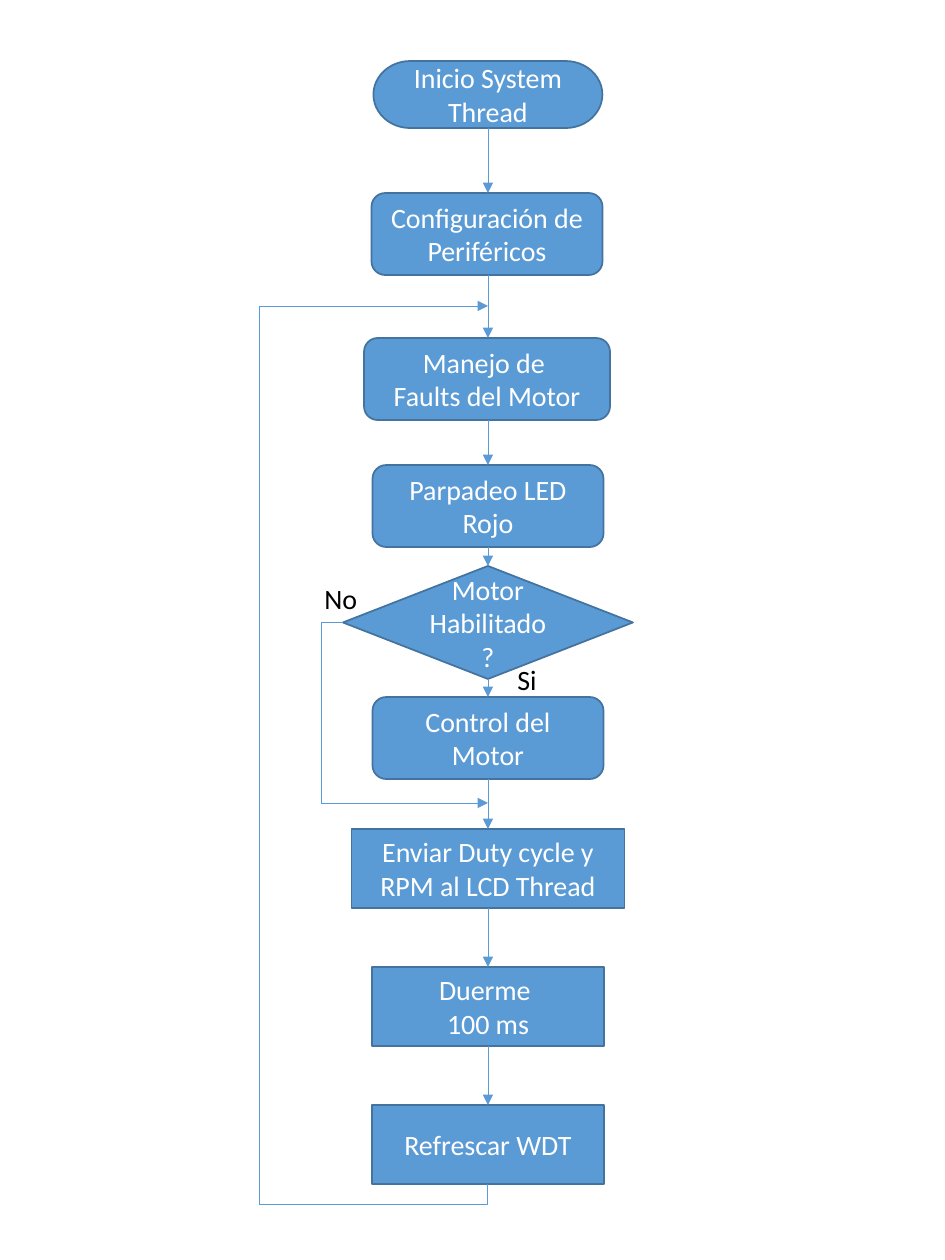
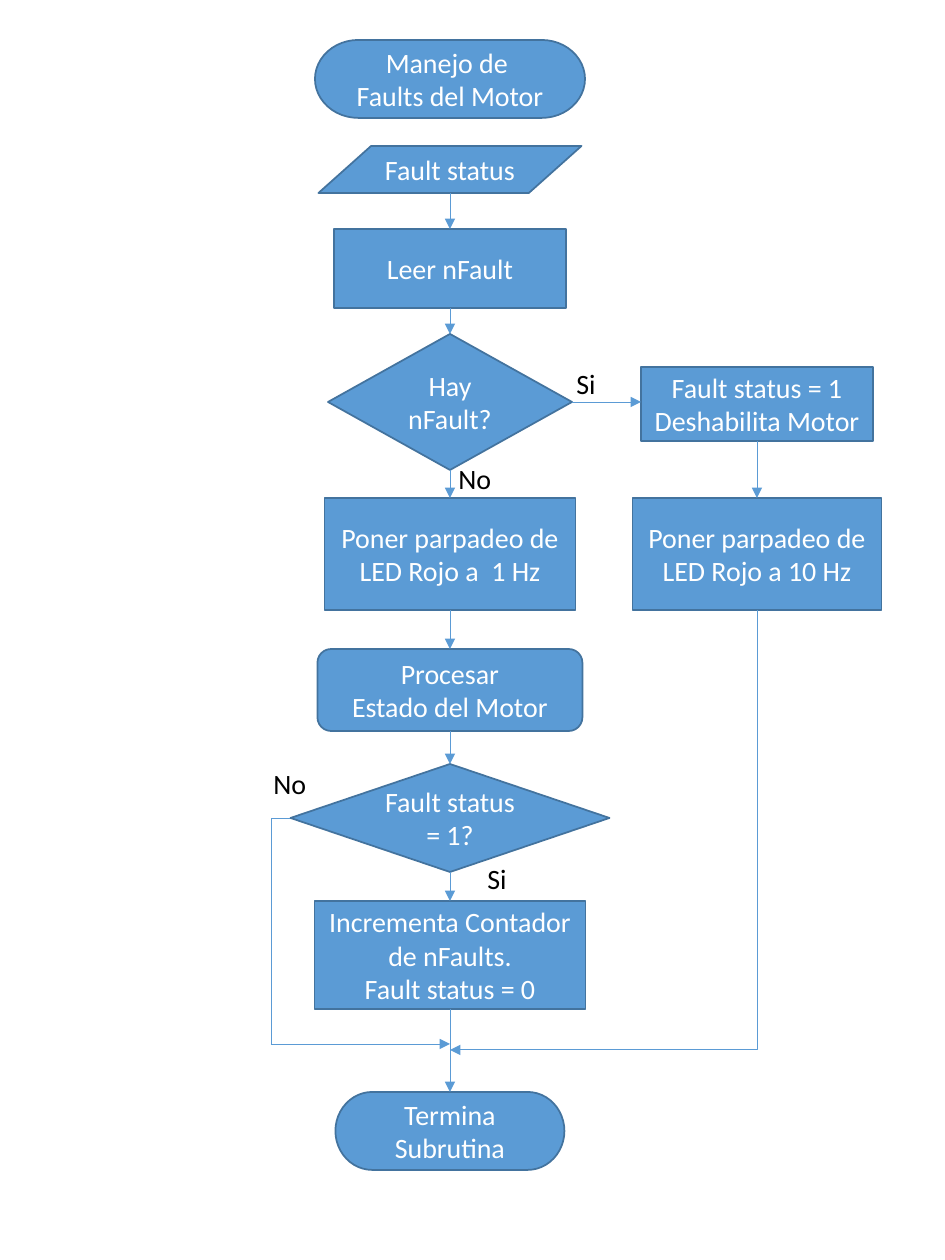
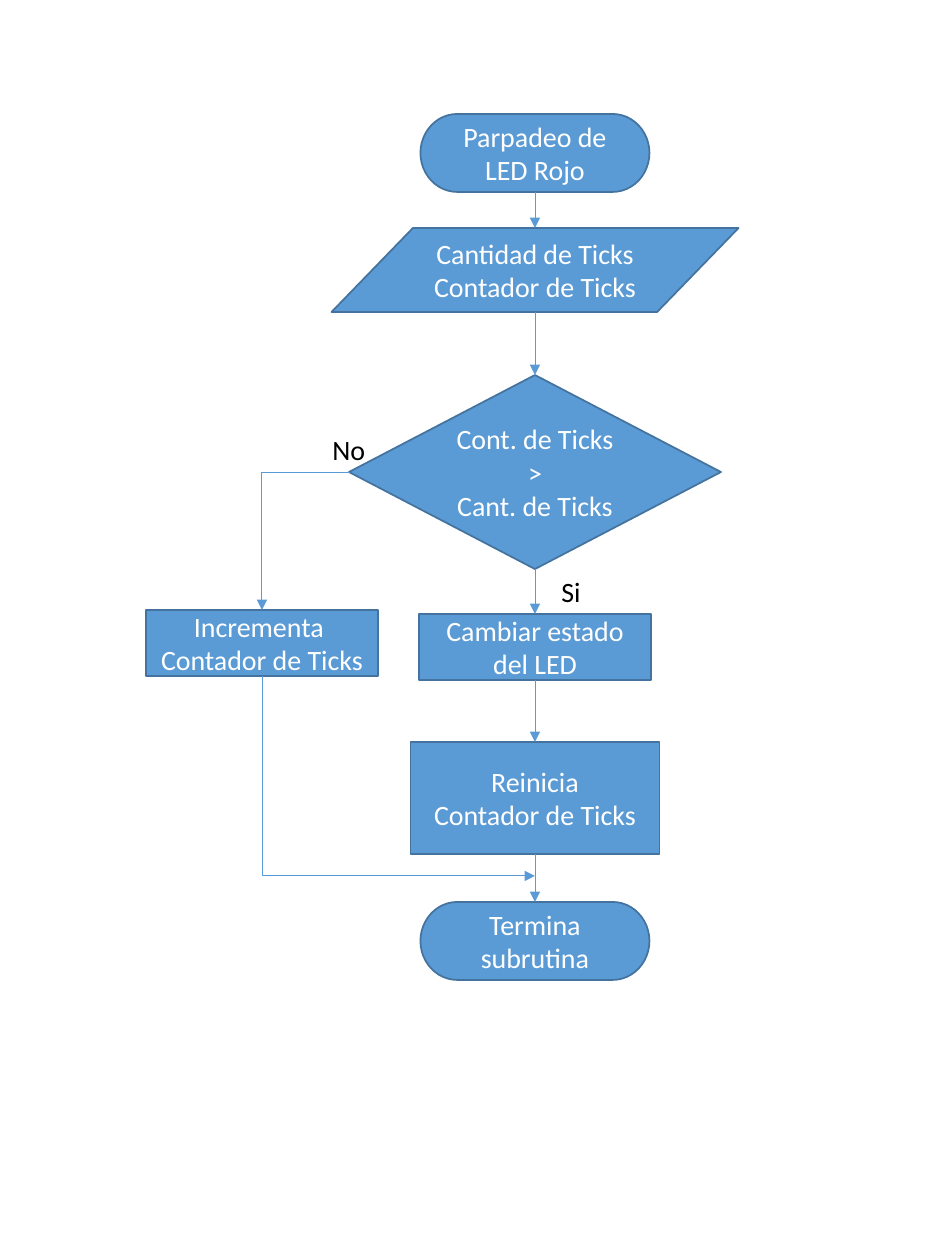
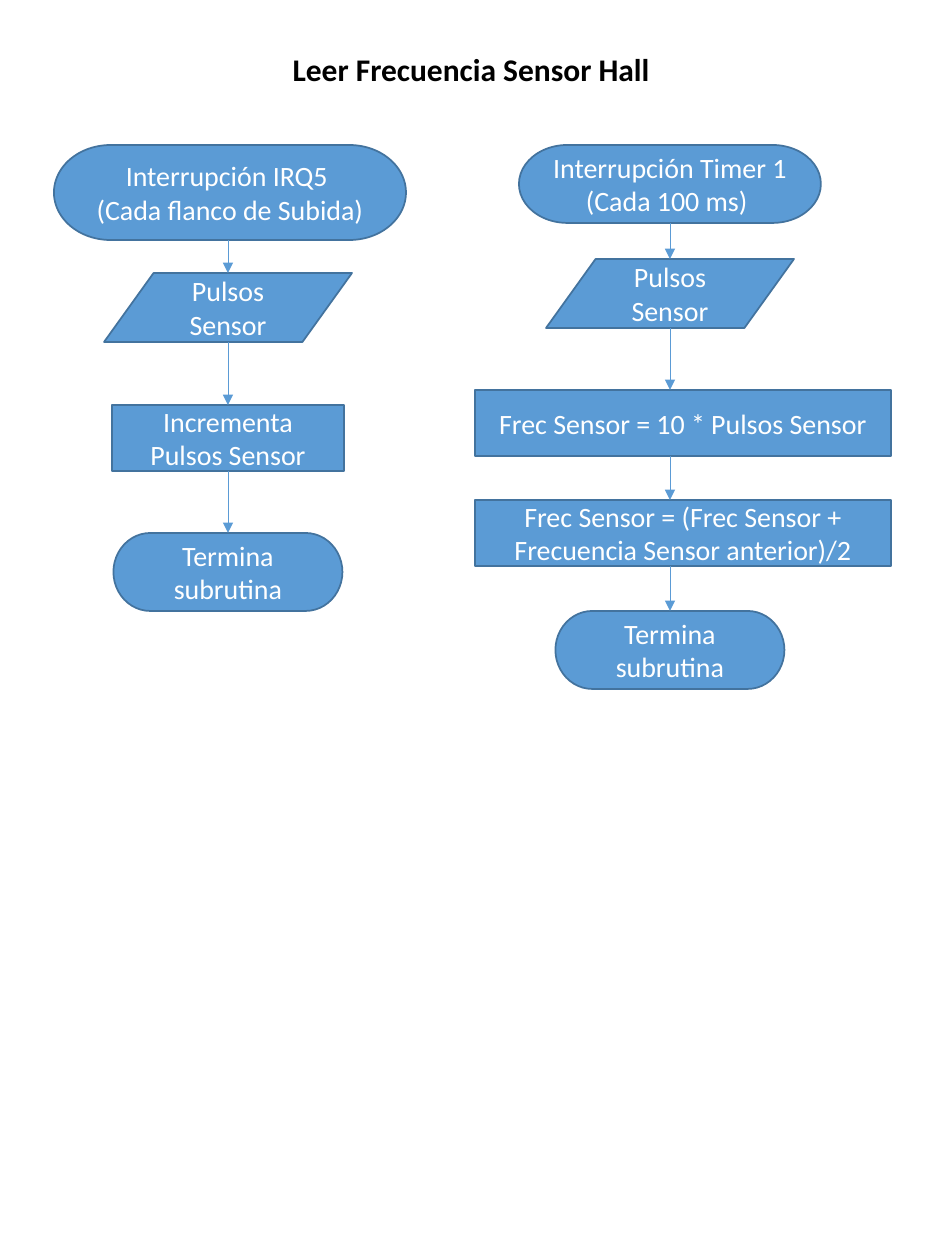
from itertools import pairwise

from lxml import etree
from pptx import Presentation
from pptx import util as u
from pptx.dml.color import RGBColor
from pptx.enum import shapes, text
from pptx.oxml.ns import qn

PX = 914400 / 126
COLORS = {"fill": "5B9BD5", "edge": "43739E", "light": "FFFFFF", "dark": "000000"}
SHAPE = shapes.MSO_SHAPE
KINDS = {
    "pill": SHAPE.FLOWCHART_TERMINATOR,
    "step": SHAPE.FLOWCHART_PROCESS,
    "call": SHAPE.FLOWCHART_ALTERNATE_PROCESS,
    "test": SHAPE.FLOWCHART_DECISION,
    "data": SHAPE.FLOWCHART_DATA,
}
LABEL_WIDTHS = {"Si": 45, "No": 59}
BOX_FRAME = {"word_wrap": True, "vertical_anchor": text.MSO_ANCHOR.MIDDLE}
FREE_FRAME = {
    "word_wrap": False,
    "vertical_anchor": text.MSO_ANCHOR.TOP,
    "auto_size": text.MSO_AUTO_SIZE.SHAPE_TO_FIT_TEXT,
}


def px(*lengths):
    return [u.Emu(round(length * PX)) for length in lengths]


def rgb(name):
    return RGBColor.from_string(COLORS[name])


def assign(target, values):
    for name, value in values.items():
        setattr(target, name, value)


class FlowDeck:
    def __init__(self):
        self.deck = Presentation()
        assign(self.deck, {"slide_width": u.Inches(7.5), "slide_height": u.Inches(10)})
        self.page = None

    def add_page(self, title=None, place=None):
        layout = self.deck.slide_layouts[5 if title else 6]
        self.page = self.deck.slides.add_slide(layout)
        if title:
            box = self.page.shapes.title
            assign(box, dict(zip(("left", "top", "width", "height"), px(*place))))
            self.set_words(box, title, "dark", FREE_FRAME, size=18, bold=True)

    def set_words(self, box, words, color, frame, size=16, bold=False, align="LEFT"):
        box.text_frame.text = words
        assign(box.text_frame, frame)
        font = {"name": "Calibri", "size": u.Pt(size), "bold": bold}
        for para in box.text_frame.paragraphs:
            para.alignment = text.PP_ALIGN[align]
            for span in para.runs:
                assign(span.font, font)
                span.font.color.rgb = rgb(color)

    def label(self, words, left, top):
        box = self.page.shapes.add_textbox(*px(left, top, LABEL_WIDTHS[words], 47))
        self.set_words(box, words, "dark", FREE_FRAME)

    def node(self, center, kind, words, top, width, height, shift=0):
        left = center + shift - width / 2
        box = self.page.shapes.add_shape(KINDS[kind], *px(left, top, width, height))
        box.shadow.inherit = False
        box.fill.solid()
        box.fill.fore_color.rgb = rgb("fill")
        box.line.color.rgb = rgb("edge")
        box.line.width = u.Pt(1)
        self.set_words(box, words, "light", BOX_FRAME, align="CENTER")

    def column(self, center, *steps):
        for step in steps:
            self.node(center, *step)
        for above, below in pairwise(steps):
            self.line((center, above[2] + above[4]), (center, below[2]), "tailEnd")

    def line(self, start, stop, arrow=None, kind=shapes.MSO_CONNECTOR.STRAIGHT):
        line = self.page.shapes.add_connector(kind, *px(*start, *stop))
        line.line.color.rgb = rgb("fill")
        line.line.width = u.Pt(0.5)
        props = line._element.spPr
        etree.SubElement(props, qn("a:effectLst"))
        if arrow:
            etree.SubElement(props.find(qn("a:ln")), qn(f"a:{arrow}"), type="triangle")
        return line

    def elbow(self, start, stop, arrow=None):
        line = self.line(start, stop, arrow, shapes.MSO_CONNECTOR.ELBOW)
        line._element.spPr.find(qn("a:prstGeom")).set("prst", "bentConnector2")


def system_thread(flow):
    flow.add_page()
    flow.column(
        488,
        ("pill", "Inicio System Thread", 61, 229, 67),
        ("call", "Configuración de Periféricos", 193, 231, 82, -1),
        ("call", "Manejo de \nFaults del Motor", 338, 246, 82, -1),
        ("call", "Parpadeo LED Rojo", 465, 231, 82),
        ("test", "Motor Habilitado?", 566, 290, 113),
        ("call", "Control del Motor", 697, 231, 82),
        ("step", "Enviar Duty cycle y RPM al LCD Thread", 829, 273, 79),
        ("step", "Duerme \n100 ms", 967, 232, 79),
        ("step", "Refrescar WDT", 1105, 232, 79),
    )
    flow.label("Si", 505, 656)
    flow.label("No", 312, 575)
    flow.elbow((343, 622), (321, 803))
    flow.line((321, 803), (488, 803), "tailEnd")
    flow.elbow((259, 1205), (488, 1184))
    flow.line((259, 1205), (259, 306))
    flow.line((259, 306), (488, 306), "tailEnd")


def motor_faults(flow):
    flow.add_page()
    flow.column(450, ("pill", "Manejo de \nFaults del Motor", 40, 270, 78))
    flow.column(
        450,
        ("data", "Fault status", 146, 263, 47),
        ("step", "Leer nFault", 229, 232, 79),
        ("test", "Hay nFault?", 334, 244, 136),
        ("step", "Poner parpadeo de LED Rojo a  1 Hz", 498, 251, 112),
        ("call", "Procesar\nEstado del Motor", 649, 265, 82),
        ("test", "Fault status = 1?", 764, 319, 108),
        ("step", "Incrementa Contador de nFaults.\nFault status = 0", 901, 271, 108),
        ("pill", "Termina Subrutina", 1092, 229, 78),
    )
    flow.column(
        757,
        ("step", "Fault status = 1\nDeshabilita Motor", 367, 232, 74),
        ("step", "Poner parpadeo de LED Rojo a 10 Hz", 498, 249, 112),
    )
    flow.label("Si", 564, 360)
    flow.label("No", 446, 455)
    flow.label("No", 261, 760)
    flow.label("Si", 475, 855)
    flow.line((572, 402), (641, 402), "tailEnd")
    flow.elbow((450, 1050), (757, 610), "headEnd")
    flow.elbow((290, 818), (271, 1044))
    flow.line((271, 1044), (450, 1044), "tailEnd")


def led_blink(flow):
    flow.add_page()
    flow.column(
        535,
        ("pill", "Parpadeo de LED Rojo", 114, 229, 78),
        ("data", "Cantidad de Ticks\nContador de Ticks", 228, 407, 84),
        ("test", "Cont. de Ticks\n>\nCant. de Ticks", 375, 372, 194),
        ("step", "Cambiar estado del LED", 614, 232, 66),
        ("step", "Reinicia\nContador de Ticks", 742, 249, 112),
        ("pill", "Termina subrutina", 902, 229, 78),
    )
    flow.column(262, ("step", "Incrementa \nContador de Ticks", 610, 232, 66))
    flow.label("Si", 549, 568)
    flow.label("No", 320, 426)
    flow.elbow((350, 472), (262, 610), "tailEnd")
    flow.elbow((535, 876), (262, 676), "headEnd")


def hall_sensor(flow):
    flow.add_page("Leer Frecuencia Sensor Hall", (280, 44, 386, 50))
    flow.column(
        228,
        ("pill", "Interrupción IRQ5 \n(Cada flanco de Subida)", 145, 352, 95, 2),
        ("data", "Pulsos Sensor", 273, 248, 69),
        ("step", "Incrementa\nPulsos Sensor", 405, 232, 66),
        ("pill", "Termina subrutina", 533, 229, 78),
    )
    average = "Frec Sensor = (Frec Sensor + Frecuencia Sensor anterior)/2"
    flow.column(
        670,
        ("pill", "Interrupción Timer 1\n(Cada 100 ms) ", 145, 302, 78),
        ("data", "Pulsos Sensor", 259, 248, 69),
        ("step", "Frec Sensor = 10 * Pulsos Sensor", 390, 416, 66, 13),
        ("step", average, 500, 416, 66, 13),
        ("pill", "Termina subrutina", 611, 229, 78),
    )


def main():
    flow = FlowDeck()
    for build in (system_thread, motor_faults, led_blink, hall_sensor):
        build(flow)
    flow.deck.save("out.pptx")


if __name__ == "__main__":
    main()
